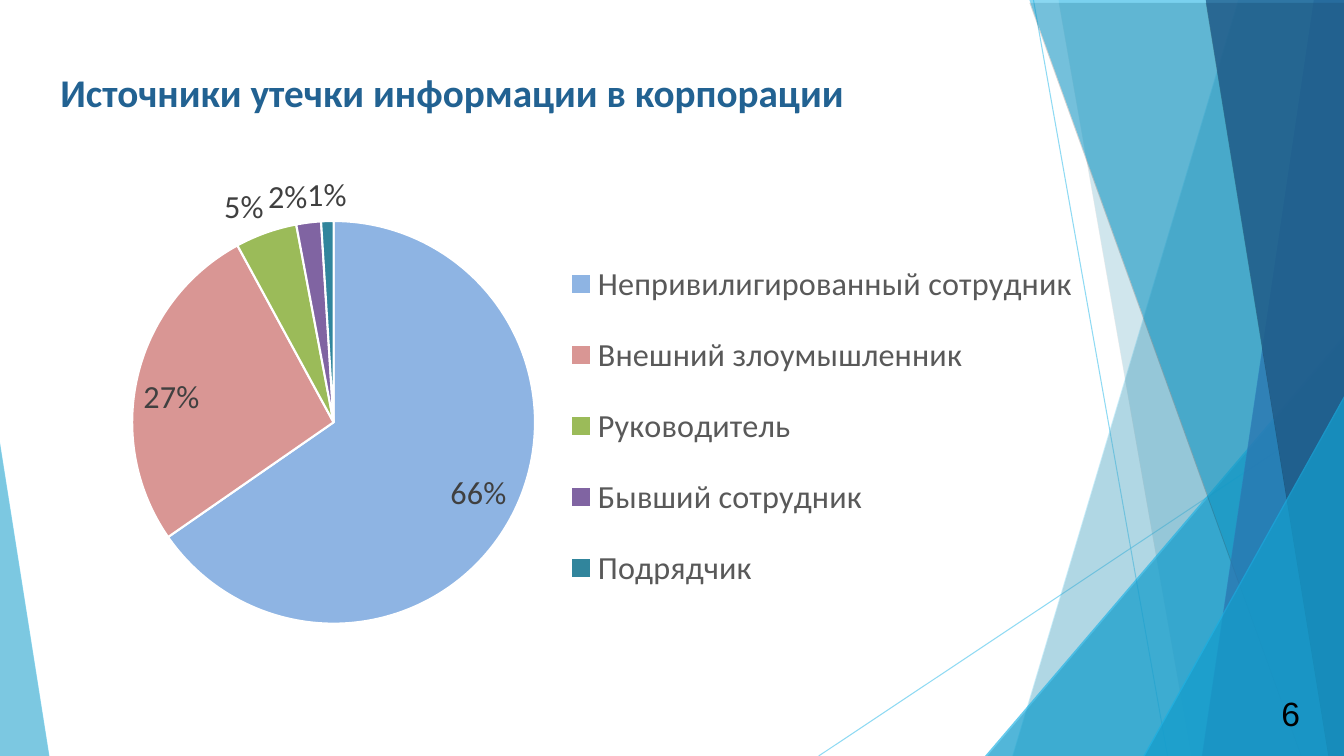
from dataclasses import dataclass

from lxml.etree import SubElement
from pptx import Presentation
from pptx.chart.data import CategoryChartData
from pptx.dml.color import RGBColor
from pptx.enum.chart import XL_CHART_TYPE as ChartType
from pptx.enum.chart import XL_LABEL_POSITION as LabelPosition
from pptx.enum.chart import XL_LEGEND_POSITION as LegendPosition
from pptx.enum.shapes import MSO_CONNECTOR as Connector
from pptx.enum.shapes import MSO_SHAPE as Preset
from pptx.enum.text import MSO_ANCHOR as Anchor
from pptx.oxml import parse_xml
from pptx.oxml.ns import nsdecls, qn
from pptx.util import Inches, Pt

WHITE = RGBColor(0xFF, 0xFF, 0xFF)
BLACK = RGBColor(0x00, 0x00, 0x00)
SKY = RGBColor(0x5F, 0xCB, 0xEF)
CYAN = RGBColor(0x17, 0xB0, 0xE4)
BLUE = RGBColor(0x2E, 0x83, 0xC3)
NAVY = RGBColor(0x22, 0x62, 0x92)
LEGEND_GREY = RGBColor(0x59, 0x59, 0x59)
LABEL_GREY = RGBColor(0x40, 0x40, 0x40)
WIDTH, HEIGHT = 13.33, 7.5


@dataclass
class Ray:
    start: tuple[float, float]
    end: tuple[float, float]


@dataclass
class Band:
    """Fills the slide from a slanted left edge to the right side."""
    top_x: float
    bottom_x: float
    color: RGBColor
    opacity: int


@dataclass
class Corner:
    """A right triangle standing on the bottom of the slide."""
    left: float
    top: float
    width: float
    apex: float
    color: RGBColor
    opacity: int


@dataclass
class Source:
    name: str
    share: int
    color: RGBColor
    label: LabelPosition


RAYS = [Ray((10.25, 0), (11.58, HEIGHT)), Ray((WIDTH, 4.03), (8.12, HEIGHT))]
FACETS = [
    Band(12.28, 10.04, SKY, 36),
    Band(10.5, 11.82, SKY, 20),
    Corner(9.77, 3.33, 3.56, 1, CYAN, 66),
    Band(10.21, 12.91, CYAN, 50),
    Band(13.03, 11.92, BLUE, 70),
    Band(11.96, 13.18, NAVY, 80),
    Corner(11.34, 3.93, 1.99, 1, CYAN, 66),
    Corner(0, 4.39, 0.49, 0, SKY, 70),
]
INSIDE, OUTSIDE = LabelPosition.INSIDE_END, LabelPosition.OUTSIDE_END
SOURCES = [
    Source("Непривилигированный сотрудник", 66, RGBColor(0x8E, 0xB4, 0xE3), INSIDE),
    Source("Внешний злоумышленник", 27, RGBColor(0xD9, 0x96, 0x94), INSIDE),
    Source("Руководитель", 5, RGBColor(0x9B, 0xBB, 0x59), OUTSIDE),
    Source("Бывший сотрудник", 2, RGBColor(0x80, 0x64, 0xA2), OUTSIDE),
    Source("Подрядчик", 1, RGBColor(0x31, 0x85, 0x9C), OUTSIDE),
]


def set_opacity(properties, percent: int) -> None:
    color = next(properties.iter(qn("a:srgbClr")))
    SubElement(color, qn("a:alpha")).set("val", str(percent * 1000))


def draw_ray(page, ray: Ray) -> None:
    line = page.shapes.add_connector(
        Connector.STRAIGHT, *map(Inches, ray.start + ray.end))
    line.line.color.rgb = SKY
    line.line.width = Pt(0.75)
    properties = line._element.spPr
    set_opacity(properties, 70)
    SubElement(properties, qn("a:effectLst"))


def draw_facet(page, facet: Band | Corner) -> None:
    if isinstance(facet, Band):
        builder = page.shapes.build_freeform(Inches(facet.top_x), 0)
        corners = [(WIDTH, 0), (WIDTH, HEIGHT), (facet.bottom_x, HEIGHT)]
        builder.add_line_segments([(Inches(x), Inches(y)) for x, y in corners])
        shape = builder.convert_to_shape()
    else:
        shape = page.shapes.add_shape(
            Preset.ISOSCELES_TRIANGLE, Inches(facet.left), Inches(facet.top),
            Inches(facet.width), Inches(HEIGHT - facet.top))
        shape.adjustments[0] = facet.apex
    shape.fill.solid()
    shape.fill.fore_color.rgb = facet.color
    shape.line.fill.background()
    properties = shape._element.spPr
    set_opacity(properties, facet.opacity)
    properties.append(parse_xml(
        f'<a:effectLst {nsdecls("a")}><a:outerShdw dist="25400" dir="5400000">'
        '<a:srgbClr val="000000"><a:alpha val="35000"/></a:srgbClr>'
        '</a:outerShdw></a:effectLst>'))


def style_font(font, name: str, size: float, color: RGBColor) -> None:
    font.name = name
    font.size = Pt(size)
    font.color.rgb = color


def add_text(page, text: str, left: float, top: float, width: float, height: float):
    box = page.shapes.add_textbox(*map(Inches, (left, top, width, height)))
    box.text_frame.word_wrap = True
    para = box.text_frame.paragraphs[0]
    para.text = text
    return box.text_frame, para


def manual_layout(x: float, y: float, w: float, h: float, inner: bool = False):
    target = '<c:layoutTarget val="inner"/>' if inner else ""
    return parse_xml(
        f'<c:layout {nsdecls("c")}><c:manualLayout>{target}'
        '<c:xMode val="edge"/><c:yMode val="edge"/>'
        f'<c:x val="{x}"/><c:y val="{y}"/><c:w val="{w}"/><c:h val="{h}"/>'
        '</c:manualLayout></c:layout>')


def add_pie(page, sources: list[Source]) -> None:
    data = CategoryChartData(number_format='0"%"')
    data.categories = [source.name for source in sources]
    data.add_series("Series 1", [source.share for source in sources])
    chart = page.shapes.add_chart(
        ChartType.PIE, *map(Inches, (0.3, 1.45, 12.18, 5.39)), data).chart
    style_font(chart.font, "Arial", 10, BLACK)
    chart.has_title = False

    # Slices and their labels
    chart.plots[0].vary_by_categories = True
    series = chart.plots[0].series[0]
    labels = series.data_labels
    labels.show_value = True
    style_font(labels.font, "Calibri", 23, LABEL_GREY)
    for point_index, source in enumerate(sources):
        point = series.points[point_index]
        point.format.fill.solid()
        point.format.fill.fore_color.rgb = source.color
        point.format.line.color.rgb = WHITE
        point.format.line.width = Pt(1.5)
        style_font(point.data_label.font, "Calibri", 23, LABEL_GREY)
        point.data_label.position = source.label

    # Legend beside the pie
    chart.has_legend = True
    legend = chart.legend
    legend.position = LegendPosition.RIGHT
    legend.include_in_layout = False
    style_font(legend.font, "Calibri", 23, LEGEND_GREY)

    # Fixed places of pie and legend
    plot_area = chart._chartSpace.chart.plotArea
    for parent, layout in (
            (plot_area, manual_layout(0.083, 0.105, 0.328, 0.807, inner=True)),
            (legend._element, manual_layout(0.43, 0.16, 0.43, 0.71))):
        for old in parent.findall(qn("c:layout")):
            parent.remove(old)
        parent.insert(0 if parent is plot_area else 1, layout)


def main() -> None:
    deck = Presentation()
    deck.slide_width, deck.slide_height = Inches(WIDTH), Inches(HEIGHT)
    page = deck.slides.add_slide(deck.slide_layouts[6])

    # Background facets
    for ray in RAYS:
        draw_ray(page, ray)
    for facet in FACETS:
        draw_facet(page, facet)

    # Title
    frame, para = add_text(
        page, "Источники утечки информации в корпорации", 0.6, 0.68, 9.4, 0.52)
    frame.margin_left = frame.margin_right = frame.margin_top = frame.margin_bottom = 0
    frame.vertical_anchor = Anchor.MIDDLE
    para.line_spacing = 0.9
    para.font.bold = True
    style_font(para.font, "Calibri", 28, NAVY)

    # Page number
    _, para = add_text(page, "6", 12.61, 6.83, 0.38, 0.5)
    style_font(para.font, "Arial", 24, BLACK)

    add_pie(page, SOURCES)
    deck.save("out.pptx")


if __name__ == "__main__":
    main()
